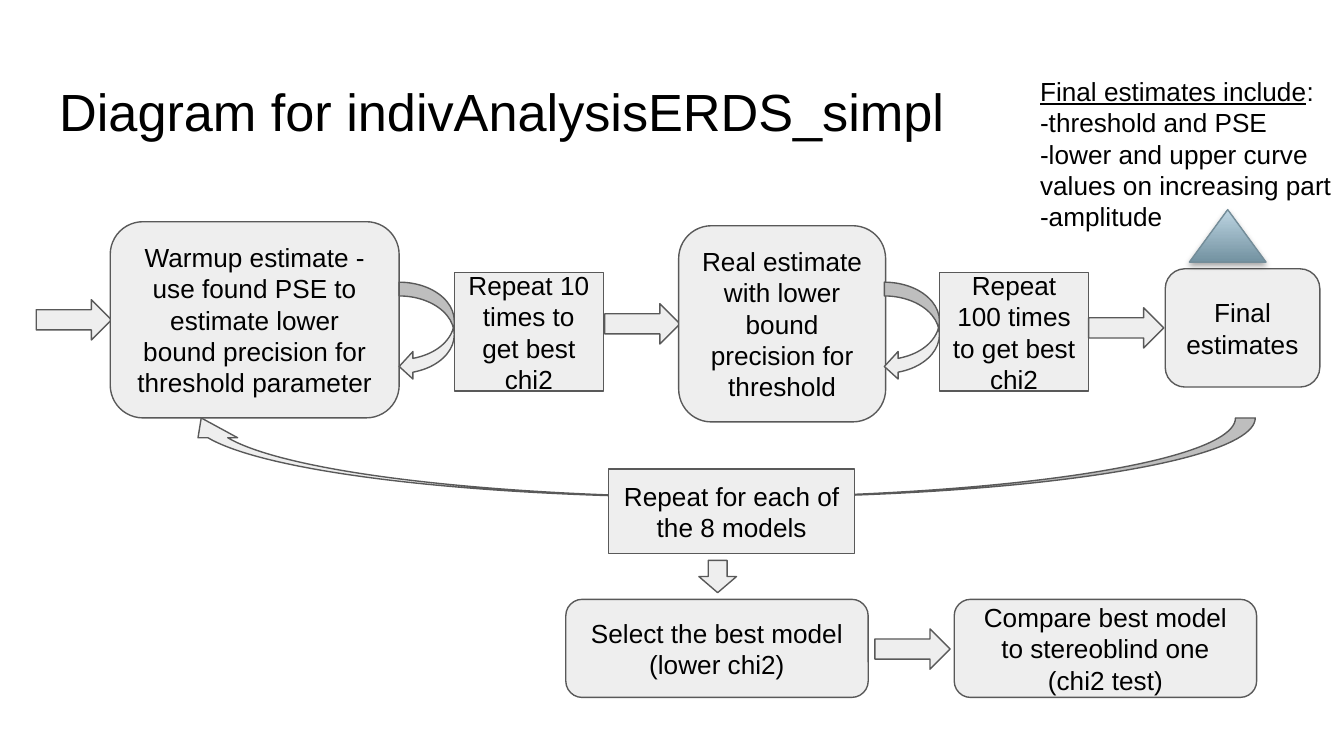
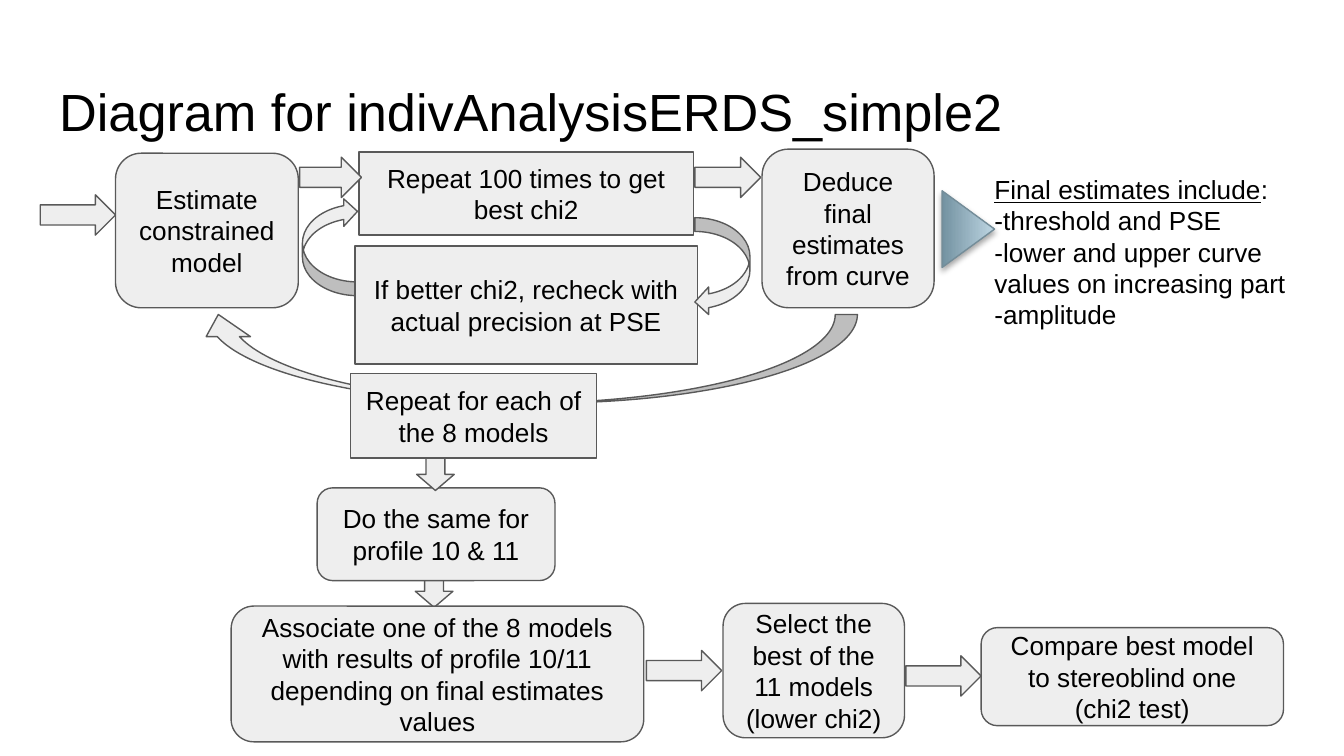
import pptx
import pptx.dml.color
import pptx.enum.shapes
import pptx.enum.text
import pptx.oxml
import pptx.oxml.ns
import pptx.util

RGB = pptx.dml.color.RGBColor
SHAPE = pptx.enum.shapes.MSO_SHAPE
ALIGN = pptx.enum.text.PP_ALIGN
ANCHOR = pptx.enum.text.MSO_ANCHOR
FIT = pptx.enum.text.MSO_AUTO_SIZE

PX = 9144
SLIDE_WIDTH = 1000
FONT = "Arial"
BLACK = RGB(0x00, 0x00, 0x00)
WHITE = RGB(0xFF, 0xFF, 0xFF)
GREY_FILL = RGB(0xEE, 0xEE, 0xEE)
GREY_LINE = RGB(0x59, 0x59, 0x59)
BLUE_DARK = RGB(0x73, 0x92, 0xA1)
BLUE_LIGHT = RGB(0xBD, 0xD5, 0xE2)
BLUE_LINE = RGB(0x74, 0x8D, 0x99)

TITLE_BOX = (34, 49, 932, 63)
TITLE_SIZE = 28
BODY_SIZE = 14
INSET = 10

STEP, REPEAT = SHAPE.ROUNDED_RECTANGLE, SHAPE.RECTANGLE
NEXT, DOWN = SHAPE.RIGHT_ARROW, SHAPE.DOWN_ARROW
LOOP, BACK = SHAPE.CURVED_LEFT_ARROW, SHAPE.CURVED_UP_ARROW
POINTER = SHAPE.ISOSCELES_TRIANGLE
NOTE = "note"

SIZES = {NEXT: (56, 30), DOWN: (28, 24), LOOP: (41, 73), POINTER: (57, 39)}

EACH_MODEL = "Repeat for each of the 8 models"
COMPARE = "Compare best model to stereoblind one (chi2 test)"
BEST_OF_100 = "Repeat 100 times to get best chi2"
ESTIMATES_HEAD = "Final estimates include"
ESTIMATES = [
    "-threshold and PSE",
    "-lower and upper curve values on increasing part",
    "-amplitude",
]

SLIDES = [
    ("Diagram for indivAnalysisERDS_simpl", [
        (NEXT, (27, 223)),
        (STEP, (82, 165, 215, 146),
         "Warmup estimate - use found PSE to estimate lower bound precision for threshold parameter"),
        (LOOP, (297, 210)),
        (REPEAT, (338, 203, 111, 88), "Repeat 10 times to get best chi2"),
        (NEXT, (450, 226)),
        (STEP, (505, 168, 154, 146), "Real estimate with lower bound precision for threshold"),
        (LOOP, (658, 210)),
        (REPEAT, (699, 203, 111, 88), BEST_OF_100),
        (BACK, (135, 311, 799, 59)),
        (NEXT, (810, 229)),
        (STEP, (867, 200, 115, 88), "Final estimates"),
        (REPEAT, (453, 349, 183, 63), EACH_MODEL),
        (DOWN, (520, 417)),
        (STEP, (421, 446, 225, 73), "Select the best model (lower chi2)"),
        (NEXT, (651, 468)),
        (STEP, (710, 446, 225, 73), COMPARE),
        (NOTE, (764, 51, 268, 128)),
        (POINTER, (885, 156)),
    ]),
    ("Diagram for indivAnalysisERDS_simple2", [
        (NEXT, (30, 145)),
        (STEP, (86, 114, 136, 115), "Estimate constrained model"),
        (REPEAT, (267, 113, 249, 62), BEST_OF_100),
        (BACK, (146, 234, 492, 66)),
        (NEXT, (517, 117, 49, 30)),
        (STEP, (567, 111, 128, 118), "Deduce final estimates from curve"),
        (REPEAT, (261, 278, 183, 63), EACH_MODEL),
        (DOWN, (309, 428)),
        (STEP, (538, 449, 135, 100), "Select the best of the 11 models (lower chi2)"),
        (NEXT, (674, 488)),
        (STEP, (730, 467, 225, 73), COMPARE),
        (NOTE, (730, 124, 255, 128)),
        (POINTER, (692, 151), "", 90),
        (STEP, (236, 363, 177, 69), "Do the same for profile 10 & 11"),
        (STEP, (172, 451, 307, 101),
         "Associate one of the 8 models with results of profile 10/11 depending on final estimates values"),
        (DOWN, (310, 341)),
        (NEXT, (481, 484)),
        (NEXT, (223, 117, 46, 30)),
        (LOOP, (225, 147), "", 180),
        (REPEAT, (264, 183, 255, 88), "If better chi2, recheck with actual precision at PSE"),
        (LOOP, (517, 162)),
    ]),
]

SHADOW = (
    '<a:effectLst %s><a:outerShdw blurRad="40000" dist="23000" dir="5400000" rotWithShape="0">'
    '<a:srgbClr val="000000"><a:alpha val="35000"/></a:srgbClr></a:outerShdw></a:effectLst>'
    % pptx.oxml.ns.nsdecls("a")
)


def emu(box):
    return [v * PX for v in box]


def add_run(p, text, size=BODY_SIZE):
    r = p.add_run()
    r.text = text
    r.font.name = FONT
    r.font.size = pptx.util.Pt(size)
    r.font.color.rgb = BLACK
    return r


def set_insets(tf):
    tf.word_wrap = True
    tf.margin_left = tf.margin_right = tf.margin_top = tf.margin_bottom = INSET * PX


def set_title(s, text):
    sp = s.shapes.title
    sp.left, sp.top, sp.width, sp.height = emu(TITLE_BOX)
    tf = sp.text_frame
    set_insets(tf)
    tf.auto_size = FIT.NONE
    tf.vertical_anchor = ANCHOR.TOP
    p = tf.paragraphs[0]
    p.alignment = ALIGN.LEFT
    add_run(p, text, TITLE_SIZE)


def add_note(s, box):
    tf = s.shapes.add_textbox(*emu(box)).text_frame
    tf.word_wrap = True
    tf.auto_size = FIT.SHAPE_TO_FIT_TEXT
    p = tf.paragraphs[0]
    add_run(p, ESTIMATES_HEAD).font.underline = True
    add_run(p, ":")
    for line in ESTIMATES:
        add_run(tf.add_paragraph(), line)


def paint_pointer(sp):
    sp.fill.gradient()
    sp.fill.gradient_angle = 90
    for stop, color in zip(sp.fill.gradient_stops, (BLUE_DARK, BLUE_LIGHT)):
        stop.color.rgb = color
    sp.line.color.rgb = BLUE_LINE
    spPr = sp.element.spPr
    spPr.replace(spPr.find(pptx.oxml.ns.qn("a:effectLst")), pptx.oxml.parse_xml(SHADOW))


def add_part(s, kind, box, text="", rotation=0):
    if kind == NOTE:
        add_note(s, box)
        return
    sp = s.shapes.add_shape(kind, *emu(box[:2] + (box[2:] or SIZES[kind])))
    sp.rotation = rotation
    sp.shadow.inherit = False
    sp.line.width = pptx.util.Pt(0.75)
    if kind == POINTER:
        paint_pointer(sp)
    else:
        sp.fill.solid()
        sp.fill.fore_color.rgb = GREY_FILL
        sp.line.color.rgb = GREY_LINE
    if kind == BACK:
        sp.element.spPr.xfrm.set("flipH", "1")
    if text:
        tf = sp.text_frame
        set_insets(tf)
        tf.vertical_anchor = ANCHOR.MIDDLE
        p = tf.paragraphs[0]
        p.alignment = ALIGN.CENTER
        add_run(p, text)


def main():
    prs = pptx.Presentation()
    prs.slide_width = SLIDE_WIDTH * PX
    prs.slide_height = prs.slide_width * 9 // 16
    for title, parts in SLIDES:
        s = prs.slides.add_slide(prs.slide_layouts[5])
        s.background.fill.solid()
        s.background.fill.fore_color.rgb = WHITE
        set_title(s, title)
        for part in parts:
            add_part(s, *part)
    prs.save("out.pptx")


if __name__ == "__main__":
    main()
